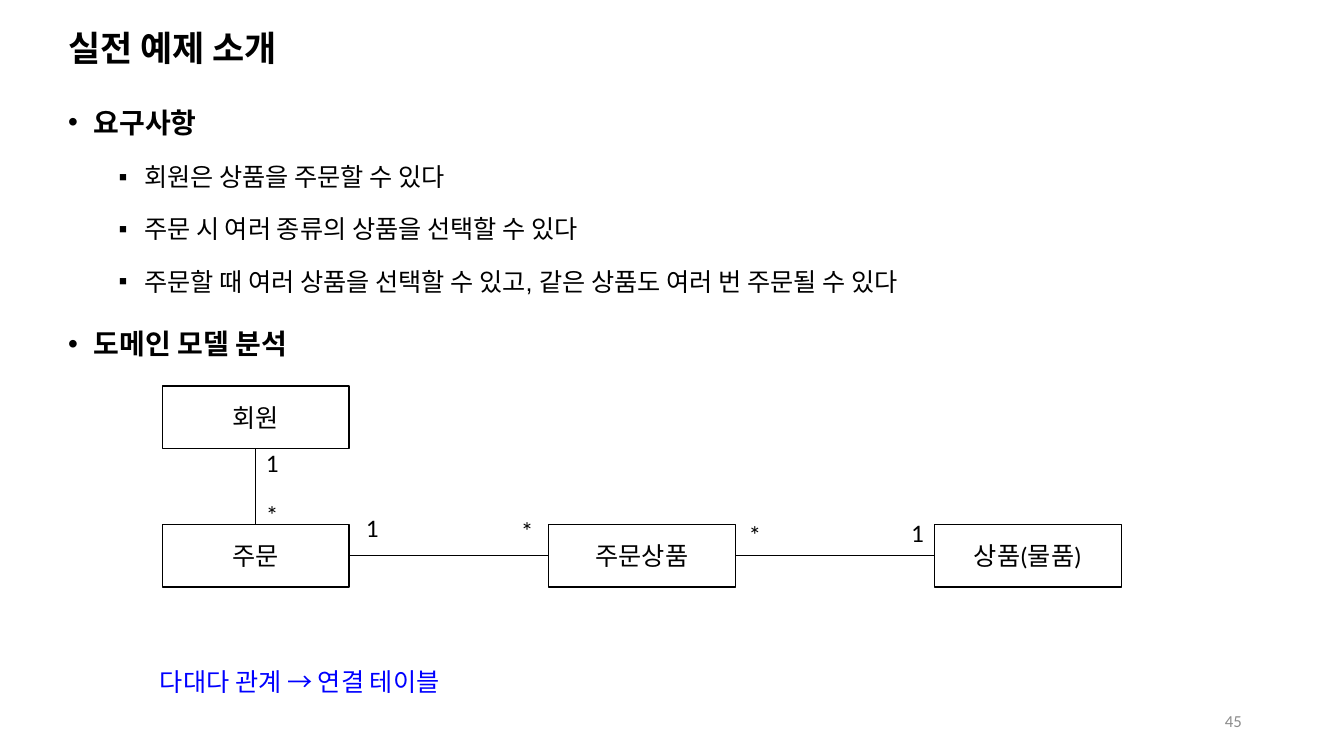
from dataclasses import dataclass

from lxml import etree
from pptx import Presentation
from pptx import util as u
from pptx.dml.color import RGBColor
from pptx.enum import shapes, text
from pptx.oxml.ns import qn


@dataclass(frozen=True)
class Theme:
    black: RGBColor = RGBColor(0x00, 0x00, 0x00)
    white: RGBColor = RGBColor(0xFF, 0xFF, 0xFF)
    blue: RGBColor = RGBColor(0x00, 0x00, 0xFF)
    gray: RGBColor = RGBColor(0x8C, 0x8C, 0x8C)
    heading_font: str = "Arial"
    diagram_font: str = "Calibri"
    title_size: u.Pt = u.Pt(25)
    section_size: u.Pt = u.Pt(20)
    text_size: u.Pt = u.Pt(18)
    number_size: u.Pt = u.Pt(12)


theme = Theme()

presentation = Presentation()
presentation.slide_width = u.Cm(33.87)
presentation.slide_height = u.Cm(19.05)
slide = presentation.slides.add_slide(presentation.slide_layouts[6])


def style(paragraph, size, color=theme.black, name=theme.diagram_font, bold=False):
    font = paragraph.font
    font.size, font.name, font.bold = size, name, bold
    font.color.rgb = color


def add_text(content, left, top, width, height, wrap=False):
    """Add a one-paragraph text box and return its text frame."""
    box = slide.shapes.add_textbox(u.Cm(left), u.Cm(top), u.Cm(width), u.Cm(height))
    frame = box.text_frame
    frame.word_wrap = wrap
    frame.paragraphs[0].text = content
    return frame


# Title
title = add_text("실전 예제 소개", 1.47, 0.46, 29.21, 0.97, wrap=True)
title.vertical_anchor = text.MSO_ANCHOR.MIDDLE
title.paragraphs[0].line_spacing = 1.5
style(title.paragraphs[0], theme.title_size, name=theme.heading_font, bold=True)

# Bulleted requirements
outline = [
    (0, "요구사항"),
    (1, "회원은 상품을 주문할 수 있다"),
    (1, "주문 시 여러 종류의 상품을 선택할 수 있다"),
    (1, "주문할 때 여러 상품을 선택할 수 있고, 같은 상품도 여러 번 주문될 수 있다"),
    (0, "도메인 모델 분석"),
]
levels = [  # indent, space before, bullet, size, bold
    (0.64, 10, "•", theme.section_size, True),
    (1.91, 5, "▪", theme.text_size, False),
]
body = add_text(outline[0][1], 1.47, 2.11, 31.32, 16.36, wrap=True)
for index, (level, content) in enumerate(outline):
    indent, space_before, bullet, size, bold = levels[level]
    paragraph = body.paragraphs[0] if index == 0 else body.add_paragraph()
    paragraph.text = content
    paragraph.level = level
    paragraph.line_spacing = 1.5
    paragraph.space_before = u.Pt(space_before if index else 0)
    properties = paragraph._p.get_or_add_pPr()
    properties.set("marL", str(u.Cm(indent)))
    properties.set("indent", str(u.Cm(-0.64)))
    etree.SubElement(properties, qn("a:buFont")).set("typeface", theme.heading_font)
    etree.SubElement(properties, qn("a:buChar")).set("char", bullet)
    style(paragraph, size, name=theme.heading_font, bold=bold)

# Slide number
number = add_text("45", 23.93, 17.65, 7.62, 1.02, wrap=True)
number.vertical_anchor = text.MSO_ANCHOR.MIDDLE
number.paragraphs[0].alignment = text.PP_ALIGN.RIGHT
style(number.paragraphs[0], theme.number_size, theme.gray)

# Entities on a grid of columns and rows
grid_left, grid_top, column_step, row_step = 4.09, 9.73, 9.73, 3.48
entity_places = {"회원": (0, 0), "주문": (0, 1), "주문상품": (1, 1), "상품(물품)": (2, 1)}
entities = {}
for name, (column, row) in entity_places.items():
    entity = slide.shapes.add_shape(
        shapes.MSO_SHAPE.RECTANGLE,
        u.Cm(grid_left + column * column_step), u.Cm(grid_top + row * row_step),
        u.Cm(4.71), u.Cm(1.58))
    entity.shadow.inherit = False
    entity.fill.solid()
    entity.fill.fore_color.rgb = theme.white
    entity.line.color.rgb = theme.black
    entity.line.width = u.Pt(1)
    frame = entity.text_frame
    frame.vertical_anchor = text.MSO_ANCHOR.MIDDLE
    paragraph = frame.paragraphs[0]
    paragraph.text = name
    paragraph.alignment = text.PP_ALIGN.CENTER
    style(paragraph, theme.text_size)
    entities[name] = entity

# Relations: start entity and side, end entity and side
relations = [
    ("회원", 2, "주문", 0),
    ("주문", 3, "주문상품", 1),
    ("주문상품", 3, "상품(물품)", 1),
]
for start, start_side, end, end_side in relations:
    relation = slide.shapes.add_connector(shapes.MSO_CONNECTOR.STRAIGHT, 0, 0, 0, 0)
    relation.begin_connect(entities[start], start_side)
    relation.end_connect(entities[end], end_side)
    relation.line.color.rgb = theme.black
    relation.line.width = u.Pt(0.5)
    etree.SubElement(relation._element.spPr, qn("a:effectLst"))

# Multiplicities
multiplicities = [
    ("1", 6.45, 11.15), ("*", 6.45, 12.45),
    ("1", 8.97, 12.78), ("*", 12.88, 12.85),
    ("*", 18.62, 12.95), ("1", 22.71, 12.9),
]
for symbol, left, top in multiplicities:
    label = add_text(symbol, left, top, 0.84, 1.02)
    style(label.paragraphs[0], theme.text_size)

# Conclusion
conclusion = add_text("다대다 관계 → 연결 테이블", 3.78, 16.66, 8.13, 1.02)
style(conclusion.paragraphs[0], theme.text_size, theme.blue)

presentation.save("out.pptx")
